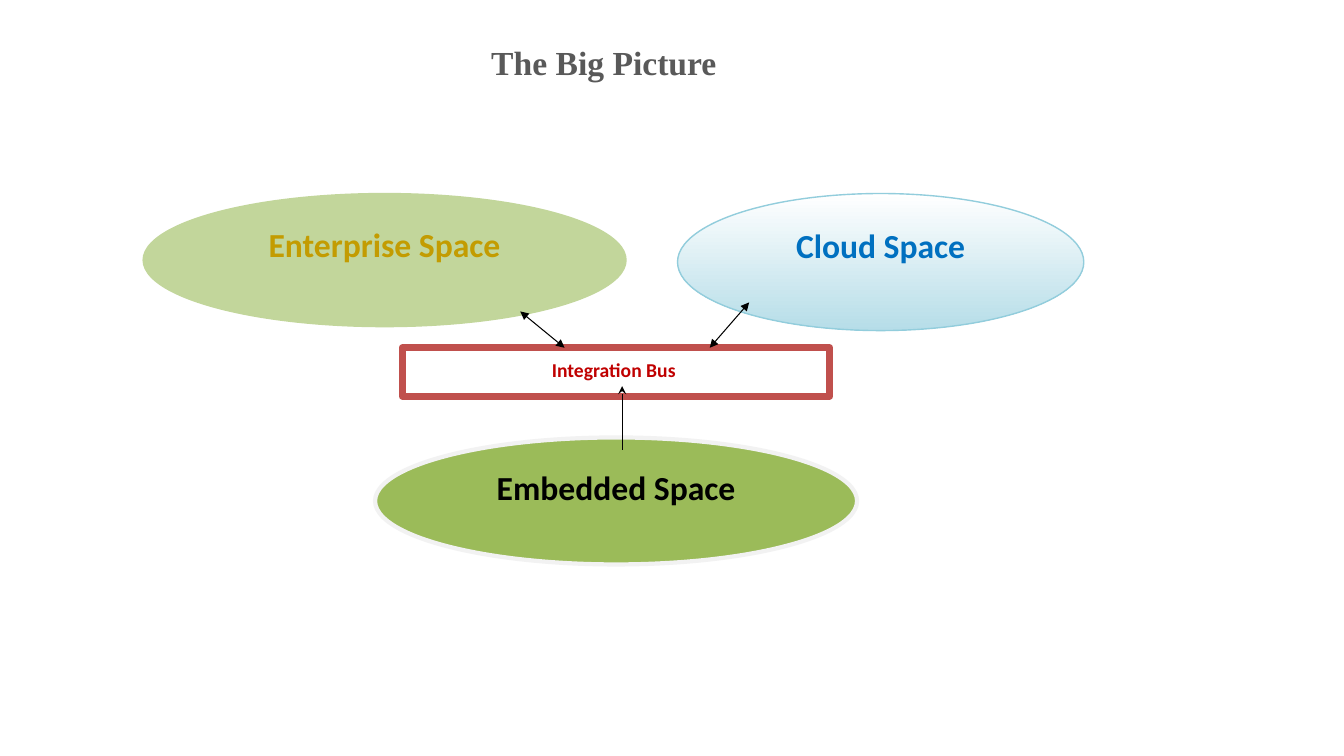
from dataclasses import dataclass
from typing import Optional

import lxml.etree
import pptx
import pptx.dml.color
import pptx.enum.shapes
import pptx.enum.text
import pptx.oxml.ns
import pptx.util

SLIDE_WIDTH = pptx.util.Inches(13.33)
SLIDE_HEIGHT = pptx.util.Inches(7.5)
OVAL = pptx.enum.shapes.MSO_SHAPE.OVAL
RECTANGLE = pptx.enum.shapes.MSO_SHAPE.RECTANGLE

COLOURS = {
    "title": "595959",
    "enterprise": "C2D69B",
    "enterprise text": "C39C01",
    "embedded": "9BBB59",
    "embedded edge": "F2F2F2",
    "cloud": "B6DDE8",
    "cloud edge": "92CDDC",
    "cloud text": "0070C0",
    "bus edge": "C0504D",
    "bus text": "C00000",
    "white": "FFFFFF",
    "black": "000000",
}


@dataclass(frozen=True)
class Area:
    """A rectangle in percent of the slide's width and height."""
    left: float
    top: float
    width: float
    height: float


@dataclass(frozen=True)
class Label:
    text: str
    colour: str
    size: float = 24
    font: str = "Calibri"
    line_spacing: float = 1.02
    top_inset: float = 0.1


@dataclass(frozen=True)
class Space:
    label: Label
    area: Area
    outline: int
    fill: str
    edge: str
    edge_width: float
    gradient_start: Optional[str] = None


@dataclass(frozen=True)
class Link:
    """An arrow between two points in percent; its tip is at the end."""
    start: tuple[float, float]
    end: tuple[float, float]
    tip: str
    two_way: bool


TITLE = Label("The Big Picture", "title", font="Times New Roman",
              line_spacing=0.9, top_inset=0.13)
TITLE_AREA = Area(22.5, 4.4, 44.86, 8.13)

SPACES = [
    Space(Label("Enterprise Space", "enterprise text"),
          Area(10.65, 25.6, 35.93, 17.6), OVAL, "enterprise", "enterprise", 1),
    Space(Label("Embedded Space", "black"),
          Area(27.91, 57.87, 35.86, 16.8), OVAL, "embedded", "embedded edge", 3),
    Space(Label("Cloud Space", "cloud text"),
          Area(50.41, 25.6, 30.23, 18.13), OVAL, "cloud", "cloud edge", 1, "white"),
    Space(Label("Integration Bus ", "bus text", 14),
          Area(29.93, 46, 31.81, 6.4), RECTANGLE, "white", "bus edge", 5),
]

LINKS = [
    Link((52.81, 46), (55.74, 40), "triangle", True),
    Link((42.01, 46), (38.71, 41.2), "triangle", True),
    Link((46.29, 59.47), (46.29, 51.07), "stealth", False),
]


def rgb(name: str) -> pptx.dml.color.RGBColor:
    return pptx.dml.color.RGBColor.from_string(COLOURS[name])


def across(percent: float) -> int:
    return round(SLIDE_WIDTH * percent / 100)


def down(percent: float) -> int:
    return round(SLIDE_HEIGHT * percent / 100)


def place(area: Area) -> tuple[int, int, int, int]:
    return across(area.left), down(area.top), across(area.width), down(area.height)


def write(frame, label: Label) -> None:
    frame.word_wrap = True
    frame.vertical_anchor = pptx.enum.text.MSO_ANCHOR.TOP
    frame.margin_left = frame.margin_right = pptx.util.Inches(0.1)
    frame.margin_top = pptx.util.Inches(label.top_inset)
    frame.margin_bottom = pptx.util.Inches(0.05)
    paragraph = frame.paragraphs[0]
    paragraph.alignment = pptx.enum.text.PP_ALIGN.CENTER
    paragraph.line_spacing = label.line_spacing
    run = paragraph.add_run()
    run.text = label.text
    run.font.name = label.font
    run.font.size = pptx.util.Pt(label.size)
    run.font.bold = True
    run.font.color.rgb = rgb(label.colour)


def draw_space(slide, space: Space) -> None:
    body = slide.shapes.add_shape(space.outline, *place(space.area))
    body.shadow.inherit = False
    if space.gradient_start:
        body.fill.gradient()
        body.fill.gradient_angle = 270
        for stop, colour in zip(body.fill.gradient_stops,
                                (space.gradient_start, space.fill)):
            stop.color.rgb = rgb(colour)
    else:
        body.fill.solid()
        body.fill.fore_color.rgb = rgb(space.fill)
    body.line.color.rgb = rgb(space.edge)
    body.line.width = pptx.util.Pt(space.edge_width)
    write(body.text_frame, space.label)


def draw_link(slide, link: Link) -> None:
    arrow = slide.shapes.add_connector(
        pptx.enum.shapes.MSO_CONNECTOR.STRAIGHT,
        across(link.start[0]), down(link.start[1]),
        across(link.end[0]), down(link.end[1]))
    arrow.line.color.rgb = rgb("black")
    arrow.line.width = pptx.util.Pt(0.75)
    properties = arrow.element.spPr
    stroke = properties.find(pptx.oxml.ns.qn("a:ln"))
    for end in ("a:headEnd", "a:tailEnd") if link.two_way else ("a:tailEnd",):
        lxml.etree.SubElement(stroke, pptx.oxml.ns.qn(end), type=link.tip)
    lxml.etree.SubElement(properties, pptx.oxml.ns.qn("a:effectLst"))


def main() -> None:
    deck = pptx.Presentation()
    deck.slide_width = SLIDE_WIDTH
    deck.slide_height = SLIDE_HEIGHT
    slide = deck.slides.add_slide(deck.slide_layouts[6])
    write(slide.shapes.add_textbox(*place(TITLE_AREA)).text_frame, TITLE)
    for space in SPACES:
        draw_space(slide, space)
    for link in LINKS:
        draw_link(slide, link)
    deck.save("out.pptx")


if __name__ == "__main__":
    main()
